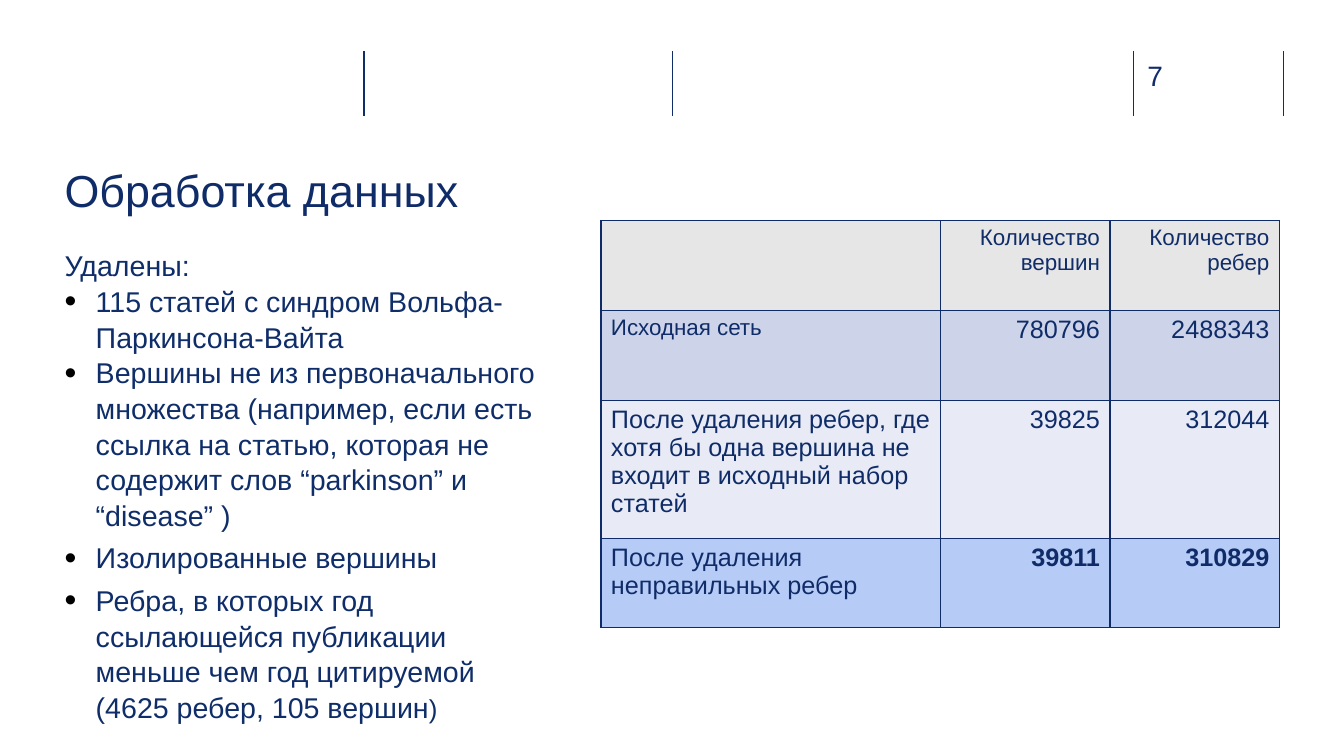
from lxml import etree
from pptx import Presentation
from pptx.dml.color import RGBColor
from pptx.enum.shapes import MSO_CONNECTOR
from pptx.enum.text import MSO_ANCHOR, PP_ALIGN
from pptx.oxml.ns import qn
from pptx.util import Inches, Pt

STRAIGHT = MSO_CONNECTOR.STRAIGHT
TOP, MIDDLE = MSO_ANCHOR.TOP, MSO_ANCHOR.MIDDLE
LEFT, RIGHT = PP_ALIGN.LEFT, PP_ALIGN.RIGHT

COLORS = {
    "line": "102D69", "title": "0F2C68", "body": "0E2D69", "bullet": "000000",
    "header": "E7E6E6", "source": "CDD4EA", "filtered": "E8EBF5", "final": "B6CCF7",
}


def add_span(para, text, size, color, bold=False):
    span = para.add_run()
    span.text = text
    values = {"name": "Arial", "size": Pt(size), "bold": bold}
    for name, value in values.items():
        setattr(span.font, name, value)
    span.font.color.rgb = RGBColor.from_string(COLORS[color])


def set_frame(frame, anchor, bottom=0):
    values = {"margin_left": 0, "margin_top": 0, "margin_right": 0,
              "margin_bottom": Inches(bottom), "word_wrap": True,
              "vertical_anchor": anchor}
    for name, value in values.items():
        setattr(frame, name, value)


deck = Presentation()
deck.slide_width, deck.slide_height = Inches(13.33), Inches(7.5)
slide = deck.slides.add_slide(deck.slide_layouts[5])

# Header rules
for x in (3.61, 6.67, 11.24, 12.73):
    rule = slide.shapes.add_connector(
        STRAIGHT, Inches(x), Inches(0.51), Inches(x), Inches(1.15))
    rule.line.width = Pt(1)
    rule.line.color.rgb = RGBColor.from_string(COLORS["line"])
    etree.SubElement(rule._element.spPr, qn("a:effectLst"))

# Page number
number_box = slide.shapes.add_textbox(
    Inches(11.38), Inches(0.58), Inches(0.73), Inches(0.34))
set_frame(number_box.text_frame, TOP)
add_span(number_box.text_frame.paragraphs[0], "7", 20, "line")

# Title
title = slide.shapes.title
title.left, title.top = Inches(0.64), Inches(1.58)
title.width, title.height = Inches(4.73), Inches(0.61)
set_frame(title.text_frame, MIDDLE)
title_para = title.text_frame.paragraphs[0]
title_para.alignment = LEFT
add_span(title_para, "Обработка данных", 32, "title")

# List of what was removed: text, space before
body_box = slide.shapes.add_textbox(
    Inches(0.64), Inches(2.45), Inches(4.73), Inches(4.73))
set_frame(body_box.text_frame, TOP, bottom=0.05)
intro = body_box.text_frame.paragraphs[0]
intro.line_spacing = 1.04
add_span(intro, "Удалены:", 20.4, "body")
removed = [
    ("115 статей с синдром Вольфа-Паркинсона-Вайта", 0),
    ("Вершины не из первоначального множества (например, если есть ссылка "
     "на статью, которая не содержит слов “parkinson” и “disease” )", 0),
    ("Изолированные вершины", 5),
    ("Ребра, в которых год ссылающейся публикации меньше чем год цитируемой "
     "(4625 ребер, 105 вершин", 5),
]
for text, space in removed:
    para = body_box.text_frame.add_paragraph()
    para.line_spacing = 1.04
    para.space_before = Pt(space)
    add_span(para, text, 20.4, "body")
    properties = para._p.get_or_add_pPr()
    properties.set("marL", str(Inches(0.31)))
    properties.set("indent", str(Inches(-0.31)))
    bullet_color = etree.SubElement(properties, qn("a:buClr"))
    etree.SubElement(bullet_color, qn("a:srgbClr"), val=COLORS["bullet"])
    etree.SubElement(properties, qn("a:buSzPct"), val="118000")
    etree.SubElement(properties, qn("a:buFont"), typeface="Arial")
    etree.SubElement(properties, qn("a:buChar"), char="•")
add_span(para, ")", 18.5, "body")

# Table: fill, height, label size, number size, texts
rows = [
    ("header", 0.89, 16, 16, ("", "Количество вершин", "Количество ребер")),
    ("source", 0.89, 16, 18, ("Исходная сеть", "780796", "2488343")),
    ("filtered", 1.37, 18, 18,
     ("После удаления ребер, где хотя бы одна вершина не входит в исходный "
      "набор статей", "39825", "312044")),
    ("final", 0.89, 18, 18,
     ("После удаления неправильных ребер", "39811", "310829")),
]
widths = (3.37, 1.68, 1.68)
table = slide.shapes.add_table(
    len(rows), len(widths), Inches(5.96), Inches(2.19),
    Inches(sum(widths)), Inches(sum(row[1] for row in rows))).table
for column, width in zip(table.columns, widths):
    column.width = Inches(width)
for r, (fill, height, label_size, number_size, texts) in enumerate(rows):
    table.rows[r].height = Inches(height)
    for c, text in enumerate(texts):
        cell = table.cell(r, c)
        para = cell.text_frame.paragraphs[0]
        para.alignment = RIGHT if c else LEFT
        if text:
            add_span(para, text, number_size if c else label_size,
                     "line" if r == 0 else "title", bold=fill == "final" and c > 0)
        # Borders come before the fill in the cell properties
        cell_properties = cell._tc.get_or_add_tcPr()
        for side in ("lnL", "lnR", "lnT", "lnB"):
            border = etree.SubElement(cell_properties, qn("a:" + side), w=str(Pt(1)))
            solid = etree.SubElement(border, qn("a:solidFill"))
            etree.SubElement(solid, qn("a:srgbClr"), val=COLORS["title"])
        cell.fill.solid()
        cell.fill.fore_color.rgb = RGBColor.from_string(COLORS[fill])

deck.save("out.pptx")
